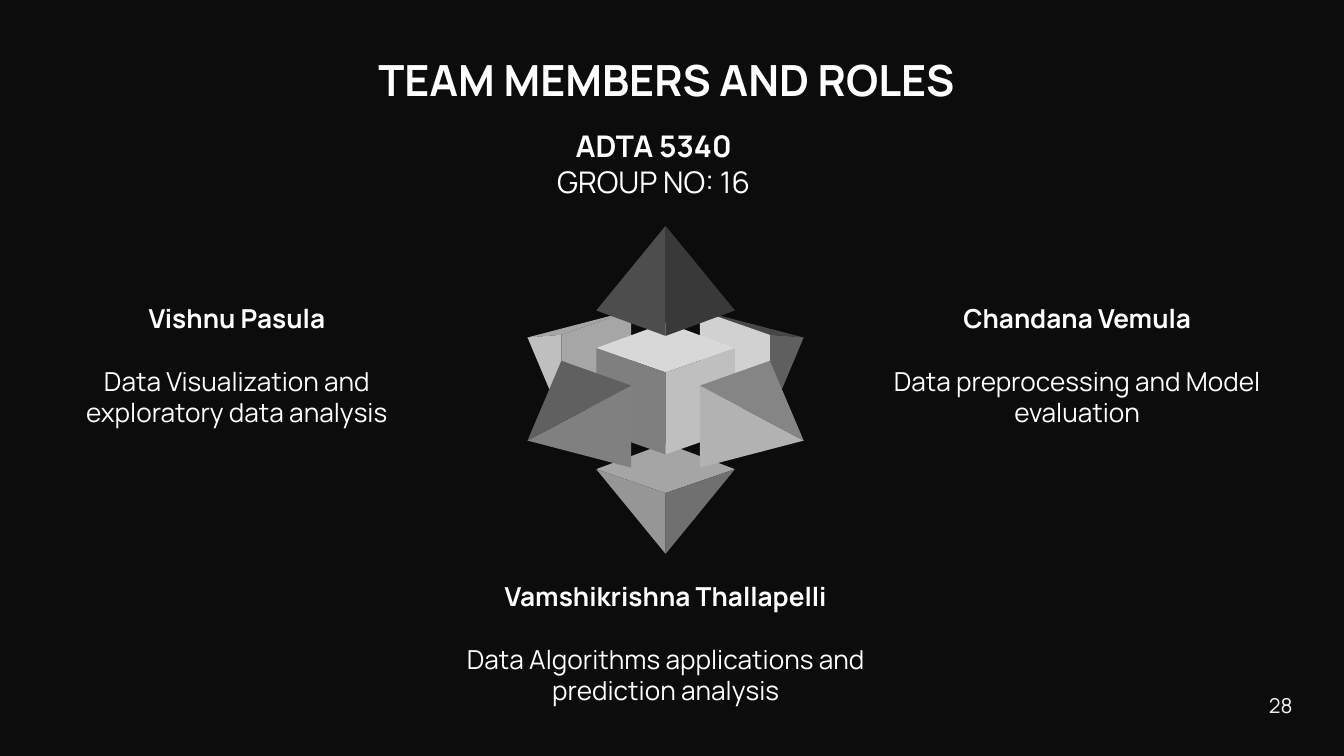
import pptx
import pptx.util
import pptx.dml.color
import pptx.enum.text
from pptx.util import Cm, Pt

FONT = "Manrope"
COLORS = {"background": "0C0C0C", "text": "FFFFFF", "number": "F2F2F2"}

# Crystal faces from back to front: points in cm from the middle of the top edge.
# Two colours (left, right) make a mirrored pair; one colour is a centred face.
FACES = [
    # rear pyramids
    (("A5A5A5", "474747"), [(2.61, 2.11), (0.65, 1.6), (1.97, 2.06)]),
    (("BFBFBF", "5F5F5F"), [(1.97, 3.63), (2.61, 2.11), (1.97, 2.06)]),
    (("A6A6A6", "D1D1D1"), [(1.97, 3.63), (1.97, 2.06), (0.65, 1.6), (0.65, 3.15)]),
    # bottom pyramid
    (("A5A5A5",), [(0, 5.05), (-1.31, 4.6), (0, 4.11), (1.31, 4.6)]),
    (("969696", "707070"), [(0, 6.2), (0, 5.05), (1.31, 4.6)]),
    # cube
    (("D8D8D8",), [(0, 1.83), (-1.31, 2.31), (0, 2.77), (1.31, 2.31)]),
    (("7F7F7F", "BFBFBF"), [(0, 2.77), (0, 4.32), (1.31, 3.86), (1.31, 2.31)]),
    # top pyramid
    (("4D4D4D", "393939"), [(0, 0), (0, 2.08), (1.31, 1.6)]),
    # front pyramids
    (("808080", "B2B2B2"), [(2.61, 4.06), (0.65, 4.57), (0.65, 3.02)]),
    (("606060", "858585"), [(1.97, 2.55), (2.61, 4.06), (0.65, 3.02)]),
]

MEMBERS = [
    ("Vishnu Pasula", "Data Visualization and exploratory data analysis",
     (0.86, 5.46, 7.24, 3.5)),
    ("Chandana Vemula", "Data preprocessing and Model evaluation",
     (16.64, 5.46, 7.44, 3.5)),
    ("Vamshikrishna Thallapelli", "Data Algorithms applications and prediction analysis",
     (7.39, 10.72, 10.39, 2.9)),
]


def rgb(value):
    return pptx.dml.color.RGBColor.from_string(value)


def set_frame(sp, box, margins, anchor=pptx.enum.text.MSO_ANCHOR.TOP):
    """Place a text shape and return its frame; margins are left, top, right, bottom."""
    sp.left, sp.top, sp.width, sp.height = map(Cm, box)
    tf = sp.text_frame
    tf.word_wrap = True
    tf.auto_size = pptx.enum.text.MSO_AUTO_SIZE.NONE
    tf.vertical_anchor = anchor
    tf.margin_left, tf.margin_top, tf.margin_right, tf.margin_bottom = map(Cm, margins)
    return tf


def add_run(p, text, size, bold=False, color=COLORS["text"]):
    p.alignment = pptx.enum.text.PP_ALIGN.CENTER
    r = p.add_run()
    r.text = text
    r.font.name = FONT
    r.font.size = Pt(size)
    r.font.bold = bold
    r.font.color.rgb = rgb(color)


def add_textbox(s, box, margins, **options):
    return set_frame(s.shapes.add_textbox(0, 0, 0, 0), box, margins, **options)


def add_title(s, box):
    tf = set_frame(s.shapes.title, box, (0.56, 0.05, 0.1, 0.05))
    add_run(tf.paragraphs[0], "TEAM MEMBERS AND ROLES", 23, bold=True)


def add_group_label(s, box):
    tf = add_textbox(s, box, (0.1, 0.05, 0.1, 0.05))
    add_run(tf.paragraphs[0], "ADTA 5340", 16, bold=True)
    add_run(tf.add_paragraph(), "GROUP NO: 16", 16)


def add_crystal(s, box):
    left, top, width, _ = box
    axis = left + width / 2
    group = s.shapes.add_group_shape()
    for colors, points in FACES:
        for color, side in zip(colors, (-1, 1)):
            corners = [(Cm(axis + side * x), Cm(top + y)) for x, y in points]
            builder = group.shapes.build_freeform(*corners[0])
            builder.add_line_segments(corners[1:], close=True)
            sp = builder.convert_to_shape()
            sp.shadow.inherit = False
            sp.fill.solid()
            sp.fill.fore_color.rgb = rgb(color)
            sp.line.fill.background()


def add_member(s, box, name, role):
    tf = add_textbox(s, box, (0.25, 0.25, 0.25, 0.25))
    p = tf.paragraphs[0]
    p.space_after = Pt(17)
    add_run(p, name, 14, bold=True)
    add_run(tf.add_paragraph(), role, 14)


def add_page_number(s, box):
    tf = add_textbox(s, box, (0.1, 0.05, 0.1, 0.05),
                     anchor=pptx.enum.text.MSO_ANCHOR.MIDDLE)
    add_run(tf.paragraphs[0], "28", 11, color=COLORS["number"])


def main():
    prs = pptx.Presentation()
    prs.slide_width, prs.slide_height = Cm(25.4), Cm(14.29)
    s = prs.slides.add_slide(prs.slide_layouts.get_by_name("Title Only"))
    s.background.fill.solid()
    s.background.fill.fore_color.rgb = rgb(COLORS["background"])

    add_title(s, (6.12, 0.97, 12.5, 1.04))
    add_crystal(s, (9.97, 4.27, 5.22, 6.2))
    add_group_label(s, (9.37, 2.36, 5.97, 1.04))
    for name, role, box in MEMBERS:
        add_member(s, box, name, role)
    add_page_number(s, (23.57, 13.06, 1.27, 0.56))
    prs.save("out.pptx")


if __name__ == "__main__":
    main()
